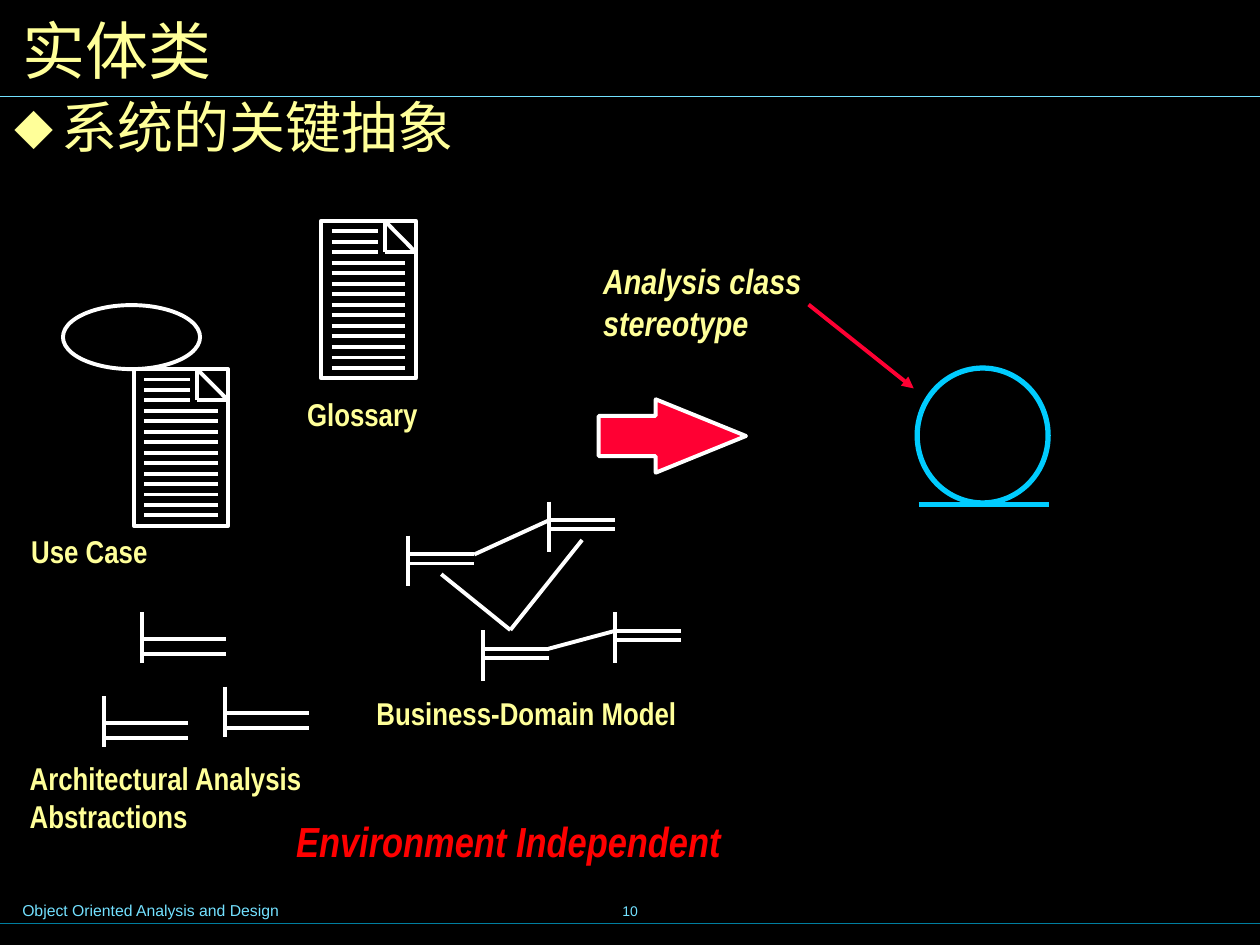
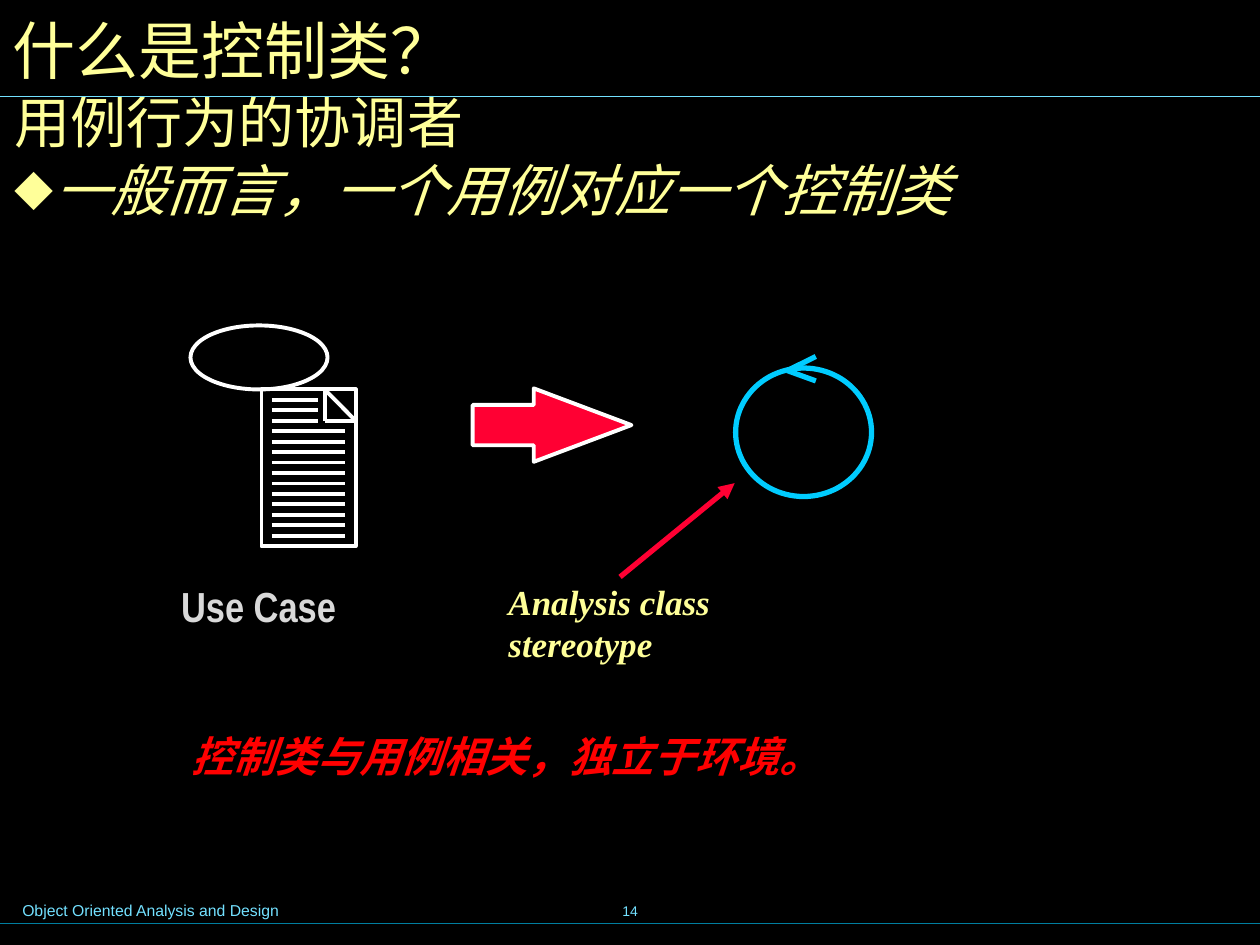
import dataclasses

import lxml.etree
import pptx
import pptx.dml.color
import pptx.enum.shapes
import pptx.enum.text
import pptx.oxml.ns
import pptx.util

Cm, Pt = pptx.util.Cm, pptx.util.Pt
qn = pptx.oxml.ns.qn
Shapes = pptx.enum.shapes.MSO_SHAPE
Anchor = pptx.enum.text.MSO_ANCHOR
Align = pptx.enum.text.PP_ALIGN


@dataclasses.dataclass(frozen=True)
class TextStyle:
    size: float
    color: str
    font: str = "Arial Narrow"
    bold: bool = False
    italic: bool = False


@dataclasses.dataclass(frozen=True)
class Theme:
    background: str = "000000"
    pale: str = "FFFF99"
    sketch: str = "FFFFFF"
    accent: str = "FF0033"
    stereotype: str = "00CCFF"
    header_rule: str = "73E1FF"
    footer_rule: str = "007E9F"
    thin: float = 0.75
    medium: float = 2.25
    thick: float = 3
    inset: tuple = (0.25, 0.13)
    wide_inset: tuple = (0.3, 0.15)
    title: TextStyle = TextStyle(36, "FFFF99")
    body: TextStyle = TextStyle(32, "FFFF99", "Arial")
    label: TextStyle = TextStyle(18, "FFFF99", bold=True)
    large_label: TextStyle = TextStyle(24, "D9D9D9", bold=True)
    callout: TextStyle = TextStyle(20, "FFFF99", bold=True, italic=True)
    conclusion: TextStyle = TextStyle(24, "FF0000", bold=True, italic=True)
    footer: TextStyle = TextStyle(9, "73E1FF", "Arial")
    page_number: TextStyle = TextStyle(8, "73E1FF", "Arial")


THEME = Theme()


@dataclasses.dataclass(frozen=True)
class Box:
    """A rectangle in centimetres."""
    left: float
    top: float
    width: float
    height: float

    def point(self, across, down):
        """The point at the given fractions of width and height."""
        return self.left + across * self.width, self.top + down * self.height

    def fraction(self, across, down, width, height):
        """The inner box given by fractions of this one."""
        return Box(*self.point(across, down), width * self.width, height * self.height)

    def inner(self, left, top, width, height):
        """The box at a distance in centimetres from this one's corner."""
        return Box(self.left + left, self.top + top, width, height)

    def lengths(self):
        return [Cm(value) for value in (self.left, self.top, self.width, self.height)]


def rgb(color):
    return pptx.dml.color.RGBColor.from_string(color)


def style_line(line, color, width):
    line.color.rgb = rgb(color)
    line.width = Pt(width)


def add_line(shapes, start, end, color=THEME.sketch, width=THEME.medium, arrow=False):
    connector = shapes.add_connector(
        pptx.enum.shapes.MSO_CONNECTOR.STRAIGHT, *[Cm(value) for value in (*start, *end)])
    style_line(connector.line, color, width)
    if arrow:
        line_element = connector._element.spPr.find(qn("a:ln"))
        lxml.etree.SubElement(line_element, qn("a:tailEnd"), type="triangle")
    lxml.etree.SubElement(connector._element.spPr, qn("a:effectLst"))


def add_outline(shapes, kind, box, color=THEME.sketch, width=THEME.medium, fill=None):
    shape = shapes.add_shape(kind, *box.lengths())
    shape.shadow.inherit = False
    if fill:
        shape.fill.solid()
        shape.fill.fore_color.rgb = rgb(fill)
    else:
        shape.fill.background()
    style_line(shape.line, color, width)
    return shape


def add_run(paragraph, text, style, italic=False):
    run = paragraph.add_run()
    run.text = text
    run.font.size = Pt(style.size)
    run.font.name = style.font
    run.font.bold = style.bold
    run.font.italic = style.italic or italic
    run.font.color.rgb = rgb(style.color)


def set_frame(frame, inset, anchor=Anchor.TOP, wrap=True):
    frame.word_wrap = wrap
    frame.auto_size = pptx.enum.text.MSO_AUTO_SIZE.NONE
    frame.vertical_anchor = anchor
    frame.margin_left = frame.margin_right = Cm(inset[0])
    frame.margin_top = frame.margin_bottom = Cm(inset[1])


def add_label(shapes, box, text, style, inset=THEME.inset, wrap=True,
              anchor=Anchor.TOP, align=Align.LEFT):
    frame = shapes.add_textbox(*box.lengths()).text_frame
    set_frame(frame, inset, anchor, wrap)
    paragraph = frame.paragraphs[0]
    paragraph.alignment = align
    add_run(paragraph, text, style)


def place(placeholder, box):
    placeholder.left, placeholder.top, placeholder.width, placeholder.height = box.lengths()


def set_bullet(paragraph, bulleted, hanging):
    properties = paragraph._p.get_or_add_pPr()
    indent = Cm(hanging)
    properties.set("marL", str(indent))
    properties.set("indent", str(-indent))
    if bulleted:
        color = lxml.etree.SubElement(properties, qn("a:buClr"))
        lxml.etree.SubElement(color, qn("a:srgbClr"), val=THEME.pale)
        lxml.etree.SubElement(properties, qn("a:buChar"), char="⬥")
    else:
        lxml.etree.SubElement(properties, qn("a:buNone"))


def fill_title(slide, box, text):
    title = slide.shapes.title
    place(title, box)
    set_frame(title.text_frame, THEME.inset, Anchor.MIDDLE)
    paragraph = title.text_frame.paragraphs[0]
    paragraph.alignment = Align.LEFT
    add_run(paragraph, text, THEME.title)


def fill_body(slide, box, items, line_spacing, hanging=0):
    """Fill the body from (text, bulleted, italic) items."""
    body = slide.placeholders[1]
    place(body, box)
    frame = body.text_frame
    set_frame(frame, THEME.wide_inset)
    for index, (text, bulleted, italic) in enumerate(items):
        paragraph = frame.add_paragraph() if index else frame.paragraphs[0]
        set_bullet(paragraph, bulleted, hanging)
        paragraph.line_spacing = line_spacing
        paragraph.space_before = Pt(12 if index else 0)
        add_run(paragraph, text, THEME.body, italic)


def add_bands(slide, page_number):
    """Header rule, footer rule, footer text and page number."""
    shapes = slide.shapes
    add_label(shapes, Box(0.2, 18.03, 12.95, 0.64), "Object Oriented Analysis and Design",
              THEME.footer)
    add_label(shapes, Box(8.68, 17.73, 8.05, 1.27), page_number, THEME.page_number,
              wrap=False, anchor=Anchor.MIDDLE, align=Align.CENTER)
    add_line(shapes, (0, 18.62), (25.4, 18.62), THEME.footer_rule, THEME.thin)
    add_line(shapes, (0, 1.94), (25.4, 1.94), THEME.header_rule, THEME.thin)


def draw_document(shapes, box, rows=15, short_rows=3):
    """A page with a folded corner and evenly spaced text rows."""
    add_outline(shapes, Shapes.RECTANGLE, box)
    fold_top, fold_inner, fold_right = box.point(0.67, 0), box.point(0.67, 0.2), box.point(1, 0.2)
    for start, end in ((fold_top, fold_right), (fold_top, fold_inner), (fold_right, fold_inner)):
        add_line(shapes, start, end)
    for row in range(1, rows):
        end = 0.6 if row <= short_rows else 0.89
        add_line(shapes, box.point(0.11, row / rows), box.point(end, row / rows))


def draw_use_case(slide, box):
    shapes = slide.shapes.add_group_shape().shapes
    add_outline(shapes, Shapes.OVAL, box.fraction(0, 0, 0.83, 0.29))
    draw_document(shapes, box.fraction(0.43, 0.29, 0.57, 0.71))


def draw_class(shapes, box, rows):
    """A class sketch: an upright bar with two rows to its right."""
    add_line(shapes, box.point(0, 0), box.point(0, 1))
    for row in rows:
        add_line(shapes, box.point(0, row), box.point(1, row))


def draw_glossary(slide, box):
    shapes = slide.shapes.add_group_shape().shapes
    draw_document(shapes, box.inner(0.54, 0, 1.9, 3.18))
    add_label(shapes, box.inner(0, 3.38, box.width, 1.02), "Glossary", THEME.label, wrap=False)


def draw_domain_model(slide, box):
    shapes = slide.shapes.add_group_shape().shapes
    rows = (0.37, 0.55)
    corners = ((0.89, 0.69), (3.73, 0), (2.39, 2.59), (5.06, 2.23))
    classes = [box.inner(*corner, 1.33, 1.02) for corner in corners]
    for class_box in classes:
        draw_class(shapes, class_box, rows)
    upper_left, upper_right, lower_left, lower_right = classes
    for source, target in ((upper_left, upper_right), (lower_left, lower_right)):
        add_line(shapes, source.point(1, rows[0]), target.point(0, rows[0]))
    for target in (upper_left, upper_right):
        add_line(shapes, lower_left.point(0.42, 0), target.point(0.5, 0.76))
    add_label(shapes, box.inner(0, 3.76, box.width, 1.02), "Business-Domain Model",
              THEME.label, wrap=False)


def draw_abstractions(slide, box):
    shapes = slide.shapes.add_group_shape().shapes
    for corner in ((2.57, 0), (4.24, 1.5), (1.8, 1.7)):
        draw_class(shapes, box.inner(*corner, 1.68, 1.02), (0.53, 0.82))
    add_label(shapes, box.inner(0, 2.82, box.width, 1.83),
              "Architectural Analysis Abstractions", THEME.label, THEME.wide_inset)


def draw_block_arrow(slide, box, head):
    arrow = add_outline(slide.shapes, Shapes.RIGHT_ARROW, box, fill=THEME.accent)
    arrow.adjustments[0] = 0.55
    arrow.adjustments[1] = head


def draw_entity(slide, box):
    shapes = slide.shapes.add_group_shape().shapes
    add_outline(shapes, Shapes.OVAL, box, THEME.stereotype, THEME.thick)
    add_line(shapes, box.point(0.01, 1.01), box.point(1.01, 1.01), THEME.stereotype, THEME.thick)


def draw_control(slide, box):
    shapes = slide.shapes.add_group_shape().shapes
    add_outline(shapes, Shapes.OVAL, box, THEME.stereotype, THEME.thick)
    for barb in (-0.09, 0.1):
        add_line(shapes, box.point(0.59, barb), box.point(0.38, 0.02),
                 THEME.stereotype, THEME.thick)


def draw_callout(slide, box, style, start, end, width):
    add_label(slide.shapes, box, "Analysis class stereotype", style, THEME.wide_inset)
    add_line(slide.shapes, start, end, THEME.accent, width, arrow=True)


def new_slide(presentation, title, title_box, page_number):
    slide = presentation.slides.add_slide(presentation.slide_layouts[1])
    add_bands(slide, page_number)
    fill_title(slide, title_box, title)
    return slide


def build_entity_slide(presentation):
    slide = new_slide(presentation, "实体类", Box(0.2, 0, 25, 1.98), "10")
    fill_body(slide, Box(0, 1.98, 23.57, 14.02), [("系统的关键抽象", True, False)], 0.8, 0.94)
    draw_glossary(slide, Box(5.94, 4.45, 2.74, 4.4))
    draw_block_arrow(slide, Box(12.07, 8.05, 2.97, 1.48), 1.23)
    draw_domain_model(slide, Box(7.34, 10.11, 6.55, 4.78))
    draw_use_case(slide, Box(1.27, 6.15, 3.33, 4.45))
    add_label(slide.shapes, Box(0.38, 10.59, 6.99, 1.02), "Use Case", THEME.label)
    draw_abstractions(slide, Box(0.3, 12.34, 7.72, 4.65))
    draw_callout(slide, Box(11.86, 5.08, 5.92, 2.01), THEME.callout,
                 (16.3, 6.14), (18.42, 7.83), THEME.medium)
    draw_entity(slide, Box(18.49, 7.42, 2.64, 2.72))
    add_label(slide.shapes, Box(5.72, 16.31, 14.4, 1.27), "Environment Independent",
              THEME.conclusion)


def build_control_slide(presentation):
    slide = new_slide(presentation, "什么是控制类？", Box(0, 0, 25.22, 1.98), "14")
    fill_body(slide, Box(0, 1.98, 23.57, 2.77),
              [("用例行为的协调者", False, False),
               ("一般而言，一个用例对应一个控制类", True, True)], 0.7)
    draw_use_case(slide, Box(3.84, 6.56, 3.33, 4.45))
    add_label(slide.shapes, Box(3.4, 11.58, 3.63, 1.27), "Use Case", THEME.large_label,
              wrap=False)
    draw_block_arrow(slide, Box(9.53, 7.83, 3.2, 1.48), 1.33)
    draw_control(slide, Box(14.83, 7.42, 2.74, 2.59))
    serif_callout = dataclasses.replace(THEME.callout, font="Times New Roman")
    draw_callout(slide, Box(9.95, 11.56, 5.92, 2.01), serif_callout,
                 (12.5, 11.63), (14.81, 9.74), THEME.thick)
    add_label(slide.shapes, Box(3.61, 14.6, 19.05, 1.27), "控制类与用例相关，独立于环境。",
              THEME.conclusion)


def main():
    presentation = pptx.Presentation()
    presentation.slide_width, presentation.slide_height = Cm(25.4), Cm(19.05)
    background = presentation.slide_master.background.fill
    background.solid()
    background.fore_color.rgb = rgb(THEME.background)
    build_entity_slide(presentation)
    build_control_slide(presentation)
    presentation.save("out.pptx")


if __name__ == "__main__":
    main()
